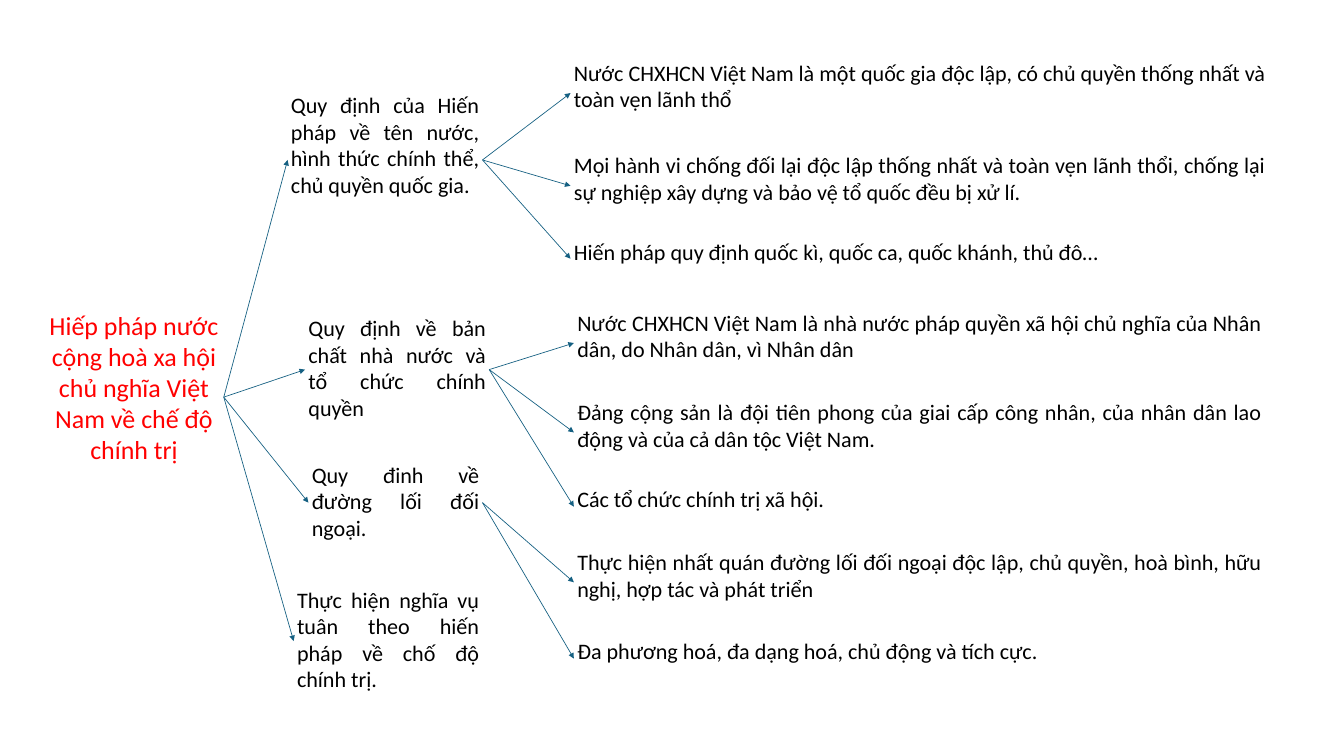
from dataclasses import dataclass

from lxml.etree import SubElement
from pptx import Presentation
from pptx.dml.color import RGBColor
from pptx.enum.shapes import MSO_CONNECTOR
from pptx.enum.text import MSO_ANCHOR, MSO_AUTO_SIZE, PP_ALIGN
from pptx.oxml.ns import qn
from pptx.shapes.base import BaseShape
from pptx.slide import Slide
from pptx.util import Inches, Pt


@dataclass(frozen=True)
class Theme:
    font: str = "Calibri"
    paper: RGBColor = RGBColor(0xFF, 0xFF, 0xFF)
    ink: RGBColor = RGBColor(0, 0, 0)
    accent: RGBColor = RGBColor(0xFF, 0, 0)
    arrow: RGBColor = RGBColor(0x15, 0x60, 0x82)
    arrow_width: float = 0.75
    topic_size: float = 27.8
    topic_leading: float = 33.3
    node_size: float = 23.7
    node_leading: float = 28.5


@dataclass(frozen=True)
class Box:
    left: float
    top: float
    width: float
    height: float


@dataclass(frozen=True)
class Node:
    text: str
    box: Box
    children: tuple["Node", ...] = ()


THEME = Theme()
LEFT_SITE, RIGHT_SITE = 1, 3  # connection sites of a rectangle
ONE_LINE, TWO_LINES = 0.72, 1.11


def upper_detail(text: str, top: float, height: float = TWO_LINES) -> Node:
    """Detail of the first branch, which sits in a slightly wider column."""
    return Node(text, Box(8.49, top, 10.39, height))


def detail(text: str, top: float, height: float = TWO_LINES) -> Node:
    return Node(text, Box(8.54, top, 10.28, height))


TOPIC = Node(
    "Hiếp pháp nước cộng hoà xa hội chủ nghĩa Việt Nam về chế độ chính trị",
    Box(0.66, 4.55, 2.67, 2.72),
    (
        Node(
            "Quy định của Hiến pháp về tên nước, hình thức chính thể, chủ quyền quốc gia.",
            Box(4.28, 1.31, 2.9, 2.14),
            (
                upper_detail("Nước CHXHCN Việt Nam là một quốc gia độc lập, có chủ quyền "
                             "thống nhất và toàn vẹn lãnh thổ", 0.83),
                upper_detail("Mọi hành vi chống đối lại độc lập thống nhất và toàn vẹn lãnh thổi, "
                             "chống lại sự nghiệp xây dựng và bảo vệ tổ quốc đều bị xử lí.", 2.21),
                upper_detail("Hiến pháp quy định quốc kì, quốc ca, quốc khánh, thủ đô…",
                             3.49, ONE_LINE),
            ),
        ),
        Node(
            "Quy định về bản chất nhà nước và tổ chức chính quyền",
            Box(4.54, 4.63, 2.74, 1.74),
            (
                detail("Nước CHXHCN Việt Nam là nhà nước pháp quyền xã hội chủ nghĩa "
                       "của Nhân dân, do Nhân dân, vì Nhân dân", 4.55),
                detail("Đảng cộng sản là đội tiên phong của giai cấp công nhân, "
                       "của nhân dân lao động và của cả dân tộc Việt Nam.", 5.88),
                detail("Các tổ chức chính trị xã hội.", 7.18, ONE_LINE),
            ),
        ),
        Node(
            "Quy đinh về đường lối đối ngoại.",
            Box(4.59, 6.81, 2.59, 1.34),
            (
                detail("Thực hiện nhất quán đường lối đối ngoại độc lập, chủ quyền, "
                       "hoà bình, hữu nghị, hợp tác và phát triển", 8.11),
                detail("Đa phương hoá, đa dạng hoá, chủ động và tích cực.", 9.44, ONE_LINE),
            ),
        ),
        Node(
            "Thực hiện nghĩa vụ tuân theo hiến pháp về chố độ chính trị.",
            Box(4.37, 8.67, 2.81, 1.74),
        ),
    ),
)


def write_text(shape: BaseShape, text: str, size: float, leading: float,
               color: RGBColor, align: PP_ALIGN, inset: float) -> None:
    shape.fill.solid()
    shape.fill.fore_color.rgb = THEME.paper
    frame = shape.text_frame
    frame.text = text
    frame.word_wrap = True
    frame.auto_size = MSO_AUTO_SIZE.NONE
    frame.vertical_anchor = MSO_ANCHOR.TOP
    frame.margin_left = frame.margin_right = Inches(inset)
    frame.margin_top = frame.margin_bottom = Inches(inset)
    paragraph = frame.paragraphs[0]
    paragraph.alignment = align
    paragraph.line_spacing = Pt(leading)
    paragraph.space_before = Pt(0)
    paragraph.font.name = THEME.font
    paragraph.font.size = Pt(size)
    paragraph.font.color.rgb = color


def draw_topic(slide: Slide, topic: Node) -> BaseShape:
    title, box = slide.shapes.title, topic.box
    title.left, title.top = Inches(box.left), Inches(box.top)
    title.width, title.height = Inches(box.width), Inches(box.height)
    write_text(title, topic.text, THEME.topic_size, THEME.topic_leading,
               THEME.accent, PP_ALIGN.CENTER, 0.06)
    return title


def draw_node(slide: Slide, node: Node) -> BaseShape:
    box = node.box
    label = slide.shapes.add_textbox(Inches(box.left), Inches(box.top),
                                     Inches(box.width), Inches(box.height))
    write_text(label, node.text, THEME.node_size, THEME.node_leading,
               THEME.ink, PP_ALIGN.JUSTIFY, 0.05)
    return label


def draw_arrow(slide: Slide, parent: BaseShape, child: BaseShape) -> None:
    arrow = slide.shapes.add_connector(MSO_CONNECTOR.STRAIGHT, 0, 0, 0, 0)
    arrow.begin_connect(parent, RIGHT_SITE)
    arrow.end_connect(child, LEFT_SITE)
    arrow.line.color.rgb = THEME.arrow
    arrow.line.width = Pt(THEME.arrow_width)
    properties = arrow._element.spPr
    SubElement(properties.find(qn("a:ln")), qn("a:tailEnd"), type="triangle")
    SubElement(properties, qn("a:effectLst"))


def draw_children(slide: Slide, parent_shape: BaseShape, parent: Node) -> None:
    for child in parent.children:
        child_shape = draw_node(slide, child)
        draw_arrow(slide, parent_shape, child_shape)
        draw_children(slide, child_shape, child)


def main() -> None:
    deck = Presentation()
    deck.slide_width, deck.slide_height = Inches(20), Inches(11.25)
    slide = deck.slides.add_slide(deck.slide_layouts[5])  # title only

    # Topic on the left, then its branches and their details
    draw_children(slide, draw_topic(slide, TOPIC), TOPIC)

    deck.save("out.pptx")


if __name__ == "__main__":
    main()
